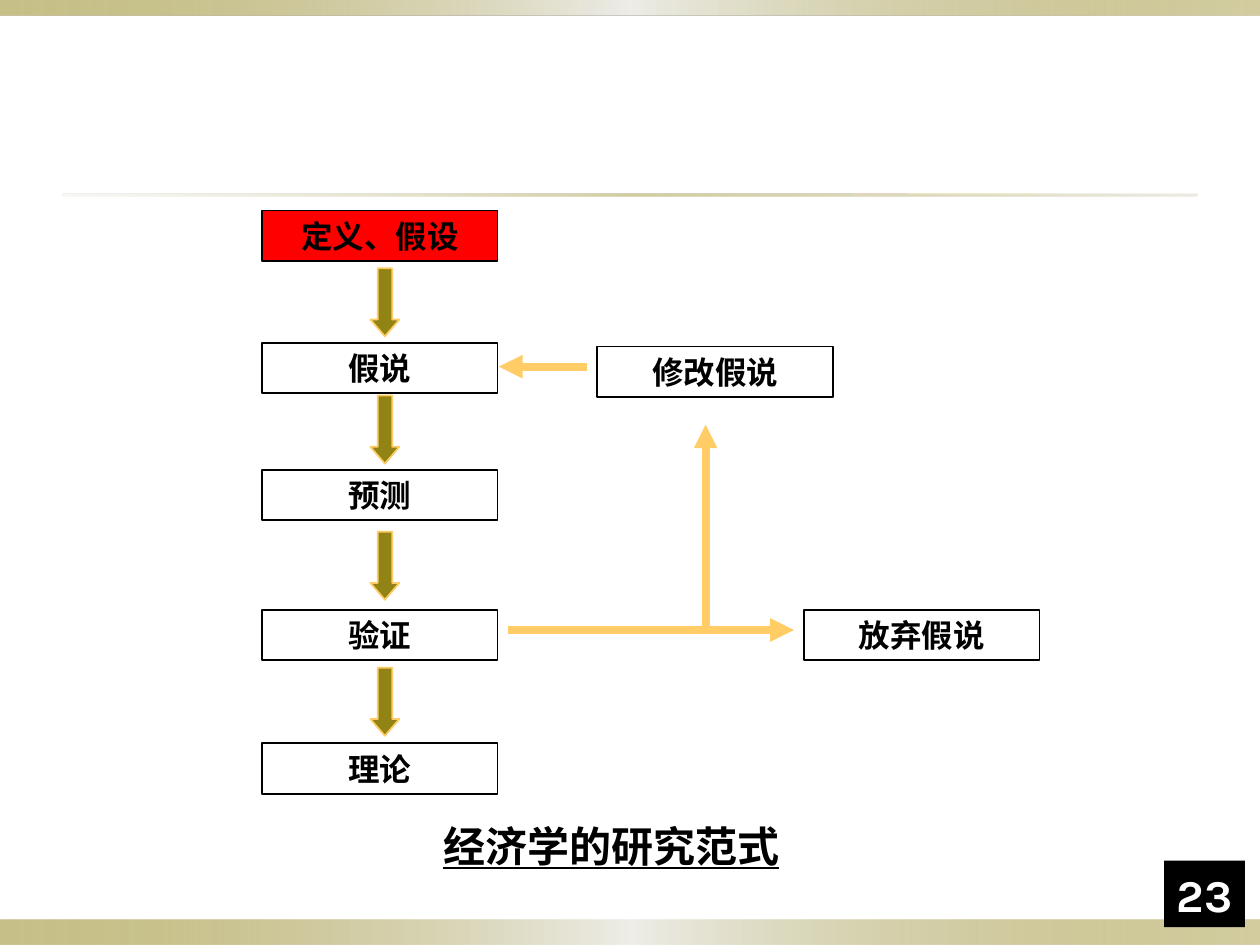
from lxml import etree
from pptx import Presentation
from pptx.dml.color import RGBColor
from pptx.enum import shapes, text
from pptx.oxml import parse_xml
from pptx.oxml.ns import nsdecls, qn
from pptx.util import Inches, Pt

HUE = {"olive": "918415", "pale": "EEEDE8", "sand": "DCD9CC", "gold": "FFCC66",
       "red": "FF0000", "black": "000000", "white": "FFFFFF"}
BAND = [(0, "olive", 50), (50, "pale", 100), (100, "olive", 40)]
RULE = [(0, "sand", 20), (50, "olive", 40), (100, "sand", 50)]
BARS = [((0, 7.3, 10, 0.2), BAND), ((0, 0, 10, 0.12), BAND), ((0.5, 1.54, 9, 0.02), RULE)]
WIDE, HIGH, LEFT = 1.87, 0.4, 2.08
STEPS = [("定义、假设", 1.67, "red"), ("假说", 2.72, None), ("预测", 3.73, None),
         ("验证", 4.84, None), ("理论", 5.9, None)]
SIDES = [("放弃假说", 6.38, 4.84), ("修改假说", 4.74, 2.75)]
DROPS = [2.13, 3.14, 4.22, 5.3]
LINKS = [(4.03, 5, 6.3, 5), (5.6, 5, 5.6, 3.37), (4.66, 2.91, 3.96, 2.91)]
CAPTION = "经济学的研究范式"
NUMBER = "23"

deck = Presentation()
deck.slide_width, deck.slide_height = Inches(10), Inches(7.5)
slide = deck.slides.add_slide(deck.slide_layouts[6])


def rgb(name):
    return RGBColor.from_string(HUE[name])


def shape(kind, spot, fill=None, line=None):
    item = slide.shapes.add_shape(kind, *map(Inches, spot))
    item.shadow.inherit = False
    if fill:
        item.fill.solid()
        item.fill.fore_color.rgb = rgb(fill)
    else:
        item.fill.background()
    if line:
        item.line.color.rgb = rgb(line)
        item.line.width = Pt(1)
    else:
        item.line.fill.background()
    return item


def rect(spot, fill=None, line=None):
    return shape(shapes.MSO_SHAPE.RECTANGLE, spot, fill, line)


def write(item, words, size, face="Times New Roman", hue="black",
          align=text.PP_ALIGN.LEFT, anchor=text.MSO_ANCHOR.TOP, under=False):
    frame = item.text_frame
    frame.word_wrap = True
    frame.vertical_anchor = anchor
    para = frame.paragraphs[0]
    para.alignment = align
    run = para.add_run()
    run.text = words
    font = run.font
    font.name, font.size, font.bold = face, Pt(size), True
    font.color.rgb = rgb(hue)
    if under:
        font.underline = True


def blend(item, stops):
    marks = "".join(
        f'<a:gs pos="{at * 1000}"><a:srgbClr val="{HUE[hue]}">'
        f'<a:alpha val="{part * 1000}"/></a:srgbClr></a:gs>' for at, hue, part in stops)
    props = item.fill._xPr
    old = props.find(qn("a:noFill"))
    props.replace(old, parse_xml(
        f'<a:gradFill {nsdecls("a")} rotWithShape="1"><a:gsLst>{marks}</a:gsLst>'
        '<a:lin ang="0" scaled="1"/></a:gradFill>'))


def box(words, left, top, fill=None):
    item = rect((left, top, WIDE, HIGH), fill, "black")
    write(item, words, 18, align=text.PP_ALIGN.CENTER, anchor=text.MSO_ANCHOR.MIDDLE)


def link(ends):
    item = slide.shapes.add_connector(shapes.MSO_CONNECTOR.STRAIGHT, *map(Inches, ends))
    item.line.color.rgb = rgb("gold")
    item.line.width = Pt(4.5)
    etree.SubElement(item.line._get_or_add_ln(), qn("a:tailEnd"), type="triangle")
    etree.SubElement(item._element.spPr, qn("a:effectLst"))


for spot, stops in BARS:
    blend(rect(spot), stops)

badge = rect((9.24, 6.83, 0.64, 0.53), "black")
write(badge, NUMBER, 26, "Karla", "white", anchor=text.MSO_ANCHOR.BOTTOM)
badge.text_frame.word_wrap = False

for words, top, fill in STEPS:
    box(words, LEFT, top, fill)
for top in DROPS:
    arrow = shape(shapes.MSO_SHAPE.DOWN_ARROW, (2.94, top, 0.23, 0.54), "olive", "gold")
    arrow.adjustments[0], arrow.adjustments[1] = 0.5, 0.58
for words, left, top in SIDES:
    box(words, left, top)
for ends in LINKS:
    link(ends)

label = slide.shapes.add_textbox(*map(Inches, (3.42, 6.46, 2.92, 0.54)))
write(label, CAPTION, 24, under=True)

deck.save("out.pptx")
